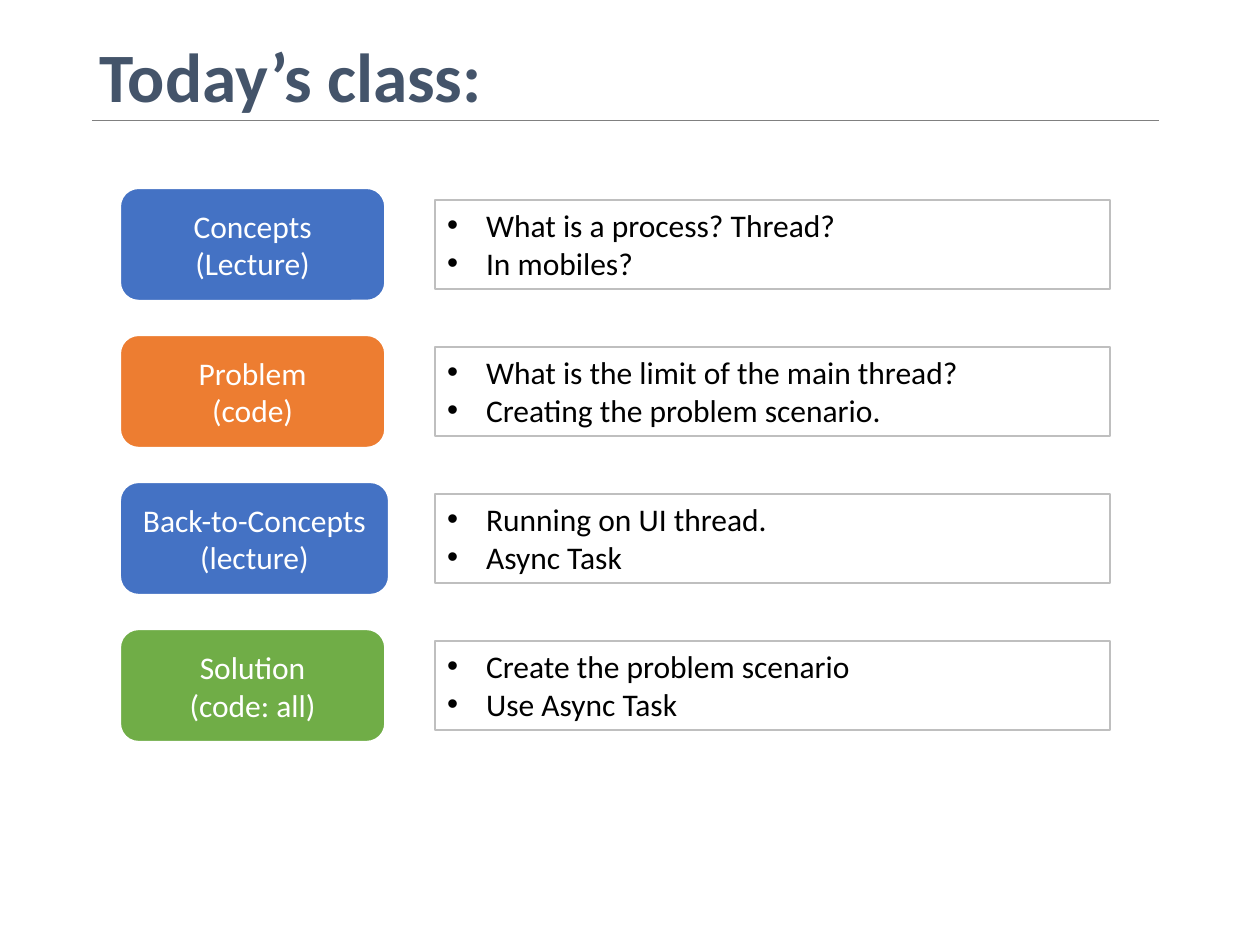
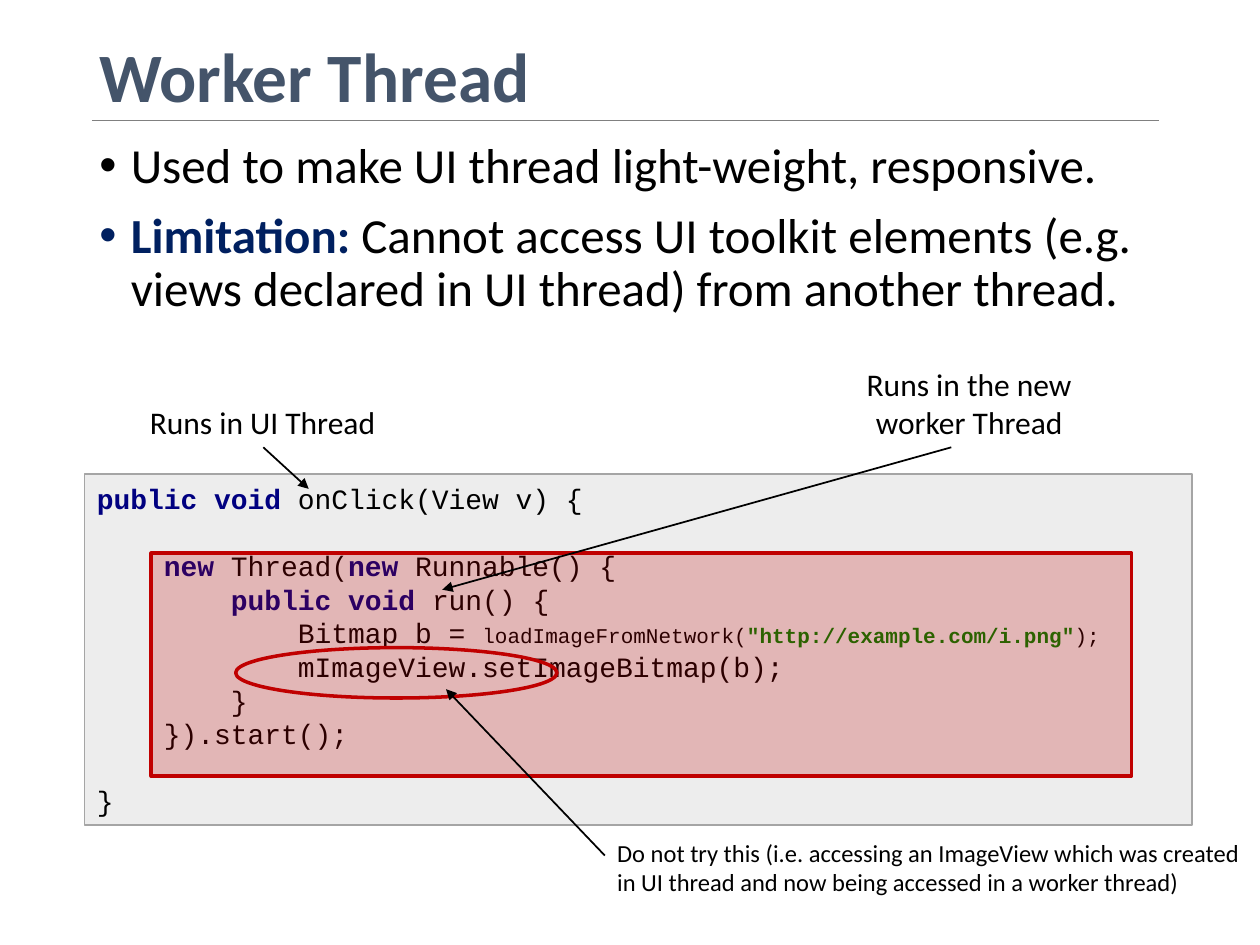
from lxml import etree
from pptx import Presentation
from pptx.dml.color import RGBColor
from pptx.enum.shapes import MSO_CONNECTOR as Connector, MSO_SHAPE as Preset
from pptx.enum.text import MSO_ANCHOR as Anchor, MSO_AUTO_SIZE as AutoSize, PP_ALIGN as Align
from pptx.oxml.ns import qn
from pptx.util import Inches, Pt

# The slide is a grid of 100 columns by 75 rows of square cells.
SLIDE_WIDTH, SLIDE_HEIGHT = Inches(10), Inches(7.5)
CELL = SLIDE_WIDTH / 100

COLORS = {
    "title": "44546A", "rule": "808080", "text": "000000", "white": "FFFFFF",
    "lecture": "4472C4", "problem": "ED7D31", "solution": "70AD47",
    "topic_border": "BFBFBF", "emphasis": "002060", "code_fill": "EDEDED",
    "code_border": "A5A5A5", "keyword": "000080", "string": "008000", "warning": "C00000",
}
BODY_FONT, CODE_FONT = "Calibri", "Courier New"
CODE_GAP = 19  # one code line, in points

KEYWORD = {"color": "keyword", "bold": True}
STRING = {"color": "string", "bold": True, "size": 12}
SMALL = {"size": 12}

AGENDA = [
    (["Concepts", "(Lecture)"], "lecture", 21.1,
     ["What is a process? Thread?", "In mobiles?"]),
    (["Problem", "(code)"], "problem", 21.1,
     ["What is the limit of the main thread?", "Creating the problem scenario."]),
    (["Back-to-Concepts", "(lecture)"], "lecture", 21.4,
     ["Running on UI thread.", "Async Task"]),
    (["Solution", "(code: all)"], "solution", 21.1,
     ["Create the problem scenario", "Use Async Task"]),
]
FIRST_ROW, ROW_PITCH = 14.9, 11.67

WORKER_POINTS = [
    ["Used to make UI thread light-weight, responsive."],
    [("Limitation: ", {"color": "emphasis", "bold": True}),
     "Cannot access UI toolkit elements (e.g. views declared in UI thread) "
     "from another thread."],
]
CODE_BLOCKS = [
    [("public void ", KEYWORD), "onClick(View v) {"],
    ["    ", ("new ", KEYWORD), "Thread(", ("new ", KEYWORD), "Runnable() {\n        ",
     ("public void ", KEYWORD), "run() {\n            Bitmap b = ",
     ("loadImageFromNetwork(", SMALL), ('"http://example.com/i.png"', STRING),
     (");", SMALL),
     "\n            mImageView.setImageBitmap(b);\n        }\n    }).start();"],
    ["}"],
]


def cells(*counts):
    return [round(count * CELL) for count in counts]


def rgb(name):
    return RGBColor.from_string(COLORS[name])


def add_run(paragraph, text, font=BODY_FONT, size=18, color="text", bold=False):
    """Add text in one style; each newline becomes a line break."""
    for index, line in enumerate(text.split("\n")):
        if index:
            paragraph.add_line_break()
        if line:
            run = paragraph.add_run()
            run.text = line
            run.font.name = font
            run.font.size = Pt(size)
            run.font.bold = bold
            run.font.color.rgb = rgb(color)


def add_bullet(paragraph, indent):
    properties = paragraph._p.get_or_add_pPr()
    properties.set("marL", str(Inches(indent)))
    properties.set("indent", str(-Inches(indent)))
    etree.SubElement(properties, qn("a:buFont")).set("typeface", "Arial")
    etree.SubElement(properties, qn("a:buChar")).set("char", "•")


def write(frame, paragraphs, align=Align.LEFT, bullet=None, spacing=None, gap=0, **style):
    """Fill a frame; a paragraph is a list of strings or (string, style) pairs."""
    for index, runs in enumerate(paragraphs):
        paragraph = frame.add_paragraph() if index else frame.paragraphs[0]
        if bullet:
            add_bullet(paragraph, bullet)
        paragraph.alignment = align
        if spacing:
            paragraph.line_spacing = spacing
        if index and gap:
            paragraph.space_before = Pt(gap)
        for item in runs:
            text, own_style = (item, {}) if isinstance(item, str) else item
            add_run(paragraph, text, **{**style, **own_style})


def add_box(slide, preset, place, fill=None, border="white", width=1.0, anchor=Anchor.TOP):
    shape = slide.shapes.add_shape(preset, *cells(*place))
    shape.shadow.inherit = False
    if fill:
        shape.fill.solid()
        shape.fill.fore_color.rgb = rgb(fill)
    else:
        shape.fill.background()
    shape.line.color.rgb = rgb(border)
    shape.line.width = Pt(width)
    shape.text_frame.word_wrap = True
    shape.text_frame.vertical_anchor = anchor
    return shape


def set_opacity(shape, percent):
    color = shape.element.spPr.find(qn("a:solidFill"))[0]
    etree.SubElement(color, qn("a:alpha")).set("val", str(percent * 1000))


def add_text(slide, place, paragraphs, wrap=True, **style):
    frame = slide.shapes.add_textbox(*cells(*place)).text_frame
    frame.word_wrap = wrap
    write(frame, paragraphs, **style)
    return frame


def add_line(slide, start, end, color="text", width=1.0, arrow=False):
    connector = slide.shapes.add_connector(Connector.STRAIGHT, *cells(*start, *end))
    connector.line.color.rgb = rgb(color)
    connector.line.width = Pt(width)
    properties = connector.element.spPr
    if arrow:
        etree.SubElement(properties.find(qn("a:ln")), qn("a:tailEnd")).set("type", "triangle")
    etree.SubElement(properties, qn("a:effectLst"))


def add_titled_slide(presentation, text):
    slide = presentation.slides.add_slide(presentation.slide_layouts.get_by_name("Title Only"))
    title = slide.shapes.title
    title.left, title.top, title.width, title.height = cells(6.9, 4, 86.2, 4.7)
    title.text_frame.auto_size = AutoSize.NONE
    title.text_frame.vertical_anchor = Anchor.MIDDLE
    write(title.text_frame, [[text]], spacing=0.9, size=39.6, color="title", bold=True)
    add_line(slide, (7.3, 9.6), (92, 9.6), color="rule", width=0.5)
    return slide


def build_agenda(presentation):
    slide = add_titled_slide(presentation, "Today’s class:")
    for index, (label, color, width, topics) in enumerate(AGENDA):
        top = FIRST_ROW + index * ROW_PITCH
        stage = add_box(slide, Preset.ROUNDED_RECTANGLE, (9.5, top, width, 9),
                        fill=color, width=1.5, anchor=Anchor.MIDDLE)
        write(stage.text_frame, [[line] for line in label], align=Align.CENTER, color="white")
        details = add_box(slide, Preset.RECTANGLE, (34.5, top + 0.95, 53.6, 7.1),
                          fill="white", border="topic_border")
        write(details.text_frame, [[topic] for topic in topics], bullet=0.31)


def build_worker_thread(presentation):
    slide = add_titled_slide(presentation, "Worker Thread")
    add_text(slide, (6.9, 10.7, 86.2, 16), WORKER_POINTS,
             bullet=0.25, spacing=0.9, gap=10, size=28)

    code = add_box(slide, Preset.RECTANGLE, (6.7, 37.6, 87.9, 27.9),
                   fill="code_fill", border="code_border", anchor=Anchor.MIDDLE)
    write(code.text_frame, CODE_BLOCKS, gap=CODE_GAP, font=CODE_FONT, size=16)
    worker_area = add_box(slide, Preset.RECTANGLE, (12, 43.9, 77.8, 17.7),
                          fill="warning", border="warning", width=2)
    set_opacity(worker_area, 23)

    add_line(slide, (20.9, 35.5), (24.5, 38.8), arrow=True)
    add_text(slide, (10.9, 31.5, 20.1, 4), [["Runs in UI Thread"]], wrap=False)
    worker_note = add_text(slide, (67.8, 28.5, 19.1, 7.1),
                           [["Runs in the new"], ["worker Thread"]], wrap=False)
    worker_note.paragraphs[1].alignment = Align.CENTER
    add_line(slide, (75.5, 35.5), (35.1, 46.8), arrow=True)

    add_box(slide, Preset.OVAL, (18.7, 51.4, 25.5, 4), border="warning", width=2)
    add_line(slide, (48, 67.9), (35.4, 54.7), arrow=True)
    add_text(slide, (48, 66, 52, 5.7),
             [["Do not try this (i.e. accessing an ImageView which was created in UI thread "
               "and now being accessed in a worker thread)"]], size=14)


def main():
    presentation = Presentation()
    presentation.slide_width, presentation.slide_height = SLIDE_WIDTH, SLIDE_HEIGHT
    build_agenda(presentation)
    build_worker_thread(presentation)
    presentation.save("out.pptx")


if __name__ == "__main__":
    main()
